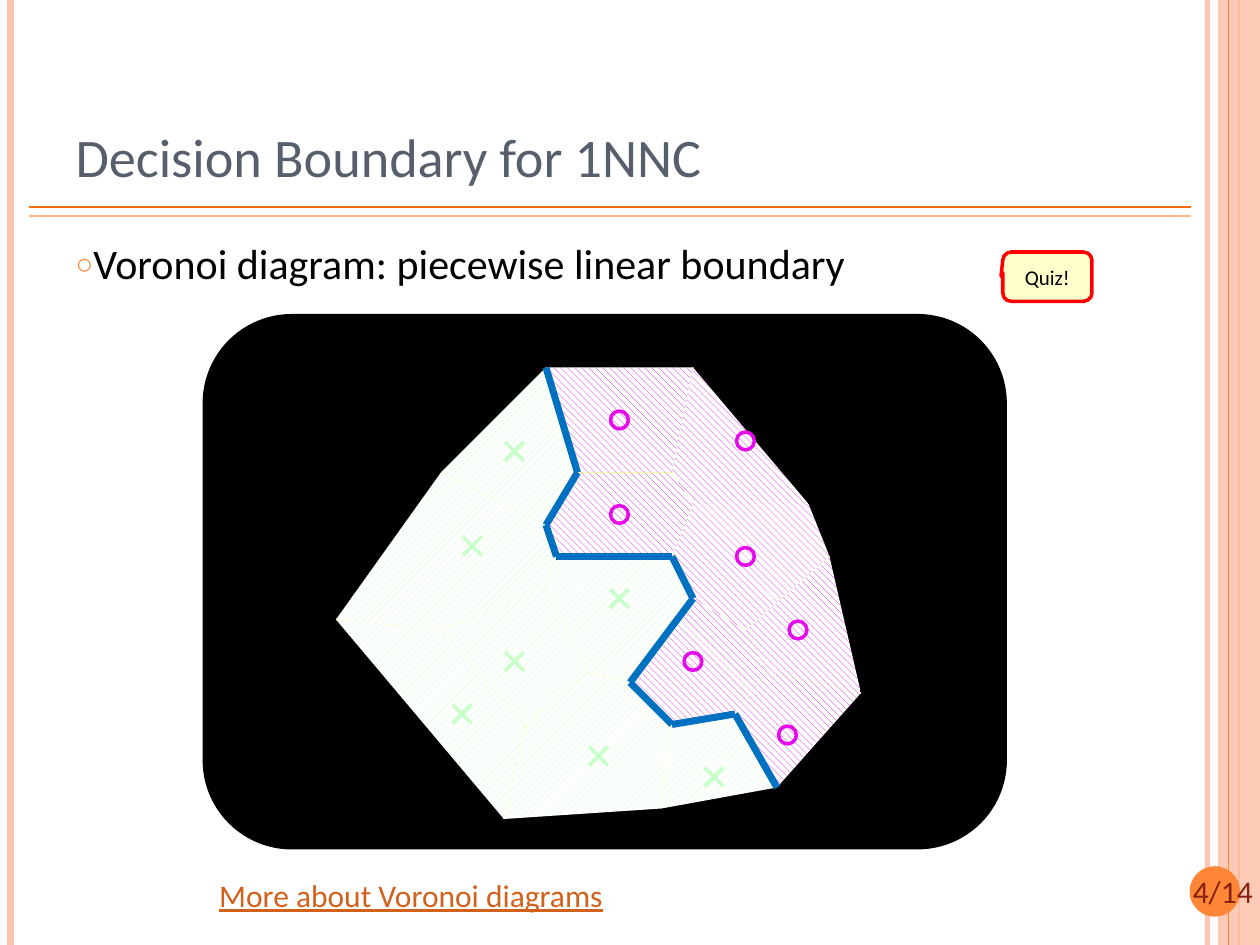
from itertools import pairwise

from lxml import etree
from pptx import Presentation
from pptx.dml.color import RGBColor
from pptx.enum.dml import MSO_LINE, MSO_PATTERN
from pptx.enum.shapes import MSO_CONNECTOR, MSO_SHAPE
from pptx.enum.text import MSO_ANCHOR, MSO_AUTO_SIZE, PP_ALIGN
from pptx.oxml.ns import qn
from pptx.util import Emu, Pt

STRAIGHT = MSO_CONNECTOR.STRAIGHT
RECT, OVAL = MSO_SHAPE.RECTANGLE, MSO_SHAPE.OVAL
ROUND_RECT = MSO_SHAPE.ROUNDED_RECTANGLE
CALLOUT = MSO_SHAPE.ROUNDED_RECTANGULAR_CALLOUT
DOWN_DIAG = MSO_PATTERN.WIDE_DOWNWARD_DIAGONAL
UP_DIAG = MSO_PATTERN.WIDE_UPWARD_DIAGONAL
DOTTED = MSO_LINE.ROUND_DOT
LEFT, CENTER, RIGHT = PP_ALIGN.LEFT, PP_ALIGN.CENTER, PP_ALIGN.RIGHT
TOP, MIDDLE, BOTTOM = MSO_ANCHOR.TOP, MSO_ANCHOR.MIDDLE, MSO_ANCHOR.BOTTOM
NO_FIT = MSO_AUTO_SIZE.NONE

BLACK = RGBColor(0x00, 0x00, 0x00)
WHITE = RGBColor(0xFF, 0xFF, 0xFF)
PEACH = RGBColor(0xFE, 0xC3, 0xAE)
ORANGE = RGBColor(0xFE, 0x86, 0x37)
DEEP_ORANGE = RGBColor(0xFF, 0x6B, 0x0A)
LIGHT_ORANGE = RGBColor(0xFE, 0xB6, 0x87)
MAROON = RGBColor(0x86, 0x21, 0x10)
SLATE = RGBColor(0x57, 0x5F, 0x6D)
RUST = RGBColor(0xD2, 0x61, 0x1C)
YELLOW = RGBColor(0xFA, 0xFD, 0x00)
CREAM = RGBColor(0xFF, 0xFF, 0xCC)
RED = RGBColor(0xFF, 0x00, 0x00)
MAGENTA = RGBColor(0xE6, 0x0B, 0xEB)
MINT = RGBColor(0xC8, 0xFE, 0xC8)
BLUE = RGBColor(0x00, 0x70, 0xC0)

FONT = "Calibri"
UNIT = 76200
COLS, ROWS = 120, 90

CIRCLES = {"A": (59, 49), "B": (59, 40), "C": (71, 42), "D": (71, 53),
           "E": (66, 63), "F": (76, 60), "G": (75, 70)}
CROSSES = {"H": (45, 52), "I": (49, 63), "J": (49, 43), "K": (44, 68),
           "L": (59, 57), "M": (57, 72), "N": (68, 74)}
NEIGHBOURS = ("CB AH LH HK LI IM HI LE NM JB BA CA AJ JH LA DC DA DL MK DE "
              "LM IK EF FD ME EN FG EG NG").split()
CORNERS = {"a": (52, 35), "b": (55, 45), "c": (64, 45), "d": (66, 35),
           "e": (66, 48), "f": (77, 48), "g": (52, 50), "h": (42, 45),
           "i": (64, 53), "j": (66, 57), "k": (53, 53), "l": (52, 56),
           "m": (42, 60), "n": (32, 59), "o": (60, 65), "p": (71, 60),
           "q": (79, 53), "r": (73, 64), "s": (82, 66), "t": (70, 68),
           "u": (74, 75), "v": (64, 69), "w": (63, 77), "x": (56, 64),
           "y": (50, 69), "z": (48, 78)}
EDGES = ("ab bc ce dc bg fe ei hg ij gk ki lk ml nm jo pj qp pr rs tr ut tv "
         "vw ov ox xl ym zy yx").split()
CIRCLE_CELLS = "srtu qprs jovtrp feijpq bgkiec abcd dcef".split()
CROSS_CELLS = "wvtu zyxovw nmyz mlxy kijoxl hgklmn abgh".split()
BOUNDARY = "abgkijovtu"


def grid(*values):
    """Convert grid units to lengths."""
    return [Emu(round(v * UNIT)) for v in values]


def set_alpha(sp, percent):
    """Make the first colour of a shape partly transparent."""
    color = next(sp._element.spPr.iter(qn("a:srgbClr")))
    etree.SubElement(color, qn("a:alpha"), val=str(percent * 1000))


def add_line(shapes, start, end, color, width, dash=None):
    """Add a straight line between two grid points."""
    line = shapes.add_connector(STRAIGHT, *grid(*start, *end))
    line.line.color.rgb = color
    line.line.width = Pt(width)
    if dash:
        line.line.dash_style = dash
    etree.SubElement(line._element.spPr, qn("a:effectLst"))
    return line


def add_network(shapes, points, pairs, color, width, dash=None):
    """Add a group of lines that join named points."""
    group = shapes.add_group_shape()
    for start, end in pairs:
        add_line(group.shapes, points[start], points[end], color, width, dash)


def add_box(shapes, kind, box, fill=None, line=None, width=2):
    """Add a preset shape without shadow."""
    sp = shapes.add_shape(kind, *grid(*box))
    sp.shadow.inherit = False
    if fill is None:
        sp.fill.background()
    else:
        sp.fill.solid()
        sp.fill.fore_color.rgb = fill
    if line is None:
        sp.line.fill.background()
    else:
        sp.line.color.rgb = line
        sp.line.width = Pt(width)
    return sp


def add_cells(shapes, cells, pattern, color):
    """Add a group of hatched Voronoi cells."""
    group = shapes.add_group_shape()
    for cell in cells:
        first, *rest = [CORNERS[name] for name in cell]
        builder = group.shapes.build_freeform(*first, scale=UNIT)
        builder.add_line_segments(rest, close=True)
        sp = builder.convert_to_shape()
        sp.shadow.inherit = False
        sp.fill.patterned()
        sp.fill.pattern = pattern
        sp.fill.fore_color.rgb = color
        sp.fill.back_color.rgb = WHITE
        sp.line.fill.background()


def add_cross(shapes, x, y, arm=0.9):
    """Add a cross mark centred on a grid point."""
    group = shapes.add_group_shape()
    for dx in (arm, -arm):
        add_line(group.shapes, (x - dx, y - arm), (x + dx, y + arm), MINT, 2)


def write(sp, text, size, color, align=LEFT, anchor=TOP, wrap=True):
    """Write one formatted paragraph into a shape."""
    tf = sp.text_frame
    tf.word_wrap = wrap
    tf.auto_size = NO_FIT
    tf.vertical_anchor = anchor
    p = tf.paragraphs[0]
    p.alignment = align
    r = p.add_run()
    r.text = text
    r.font.name = FONT
    r.font.size = Pt(size)
    r.font.color.rgb = color
    return p, r


def place(sp, box):
    """Move a placeholder to a grid box."""
    sp.left, sp.top, sp.width, sp.height = grid(*box)


def set_bullet(p, char, color, percent):
    """Give a paragraph a coloured bullet without indent."""
    pPr = p._p.get_or_add_pPr()
    pPr.set("marL", "0")
    pPr.set("indent", "0")
    clr = etree.SubElement(pPr, qn("a:buClr"))
    etree.SubElement(clr, qn("a:srgbClr"), val=str(color))
    etree.SubElement(pPr, qn("a:buSzPct"), val=str(percent * 1000))
    etree.SubElement(pPr, qn("a:buChar"), char=char)


def add_frame(shapes):
    """Add the side bars, title rules and page number."""
    set_alpha(add_line(shapes, (115, 0), (115, ROWS), PEACH, 3), 93)
    add_line(shapes, (1, 0), (1, ROWS), PEACH, 4.5)
    add_line(shapes, (118, 0), (118, ROWS), ORANGE, 1.5)
    set_alpha(add_box(shapes, RECT, (116, 0, 4, ROWS), PEACH), 87)
    add_line(shapes, (117, 0), (117, ROWS), ORANGE, 0.75)
    for y, color in ((19.7, DEEP_ORANGE), (20.6, LIGHT_ORANGE)):
        add_line(shapes, (2.8, y), (113.4, y), color, 1)
    add_box(shapes, OVAL, (113.3, 82.5, 4.8, 4.8), ORANGE)
    number = shapes.add_textbox(*grid(109.6, 82.5, 10.9, 4.8))
    write(number, "4/14", 18, MAROON, RIGHT)


def add_diagram(shapes):
    """Add the Voronoi diagram with its sites and decision boundary."""
    add_box(shapes, ROUND_RECT, (19.3, 29.9, 76.6, 51), BLACK)
    add_network(shapes, CIRCLES | CROSSES, NEIGHBOURS, WHITE, 1, DOTTED)
    add_network(shapes, CORNERS, EDGES, YELLOW, 1)
    add_cells(shapes, CIRCLE_CELLS, DOWN_DIAG, MAGENTA)
    add_cells(shapes, CROSS_CELLS, UP_DIAG, MINT)
    for x, y in CIRCLES.values():
        add_box(shapes, OVAL, (x - 0.85, y - 0.85, 1.7, 1.7), line=MAGENTA)
    for x, y in CROSSES.values():
        add_cross(shapes, x, y)
    add_network(shapes, CORNERS, pairwise(BOUNDARY), BLUE, 4)


def main():
    """Build the slide and save it."""
    prs = Presentation()
    prs.slide_width, prs.slide_height = grid(COLS, ROWS)
    s = prs.slides.add_slide(prs.slide_layouts[1])
    title, body = s.placeholders
    add_frame(s.shapes)
    place(title, (6, 3.6, 98, 15))
    p, _ = write(title, "Decision Boundary for 1NNC", 31, SLATE, anchor=BOTTOM)
    p.line_spacing = 0.9
    place(body, (6, 22.4, 98, 62.5))
    p, _ = write(body, "Voronoi diagram: piecewise linear boundary", 24, BLACK)
    p.line_spacing = 0.95
    p.space_before = Pt(6)
    set_bullet(p, "○", ORANGE, 70)
    add_diagram(s.shapes)
    quiz = add_box(s.shapes, CALLOUT, (95.5, 24, 8.5, 4.7), CREAM, RED)
    for i, value in enumerate((-0.52, -0.01, 0.17)):
        quiz.adjustments[i] = value
    write(quiz, "Quiz!", 12, BLACK, CENTER, MIDDLE)
    more = s.shapes.add_textbox(*grid(19.7, 82.8, 39.4, 4.8))
    _, r = write(more, "More about Voronoi diagrams", 18, RUST, wrap=False)
    r.font.underline = True
    prs.save("out.pptx")


if __name__ == "__main__":
    main()
